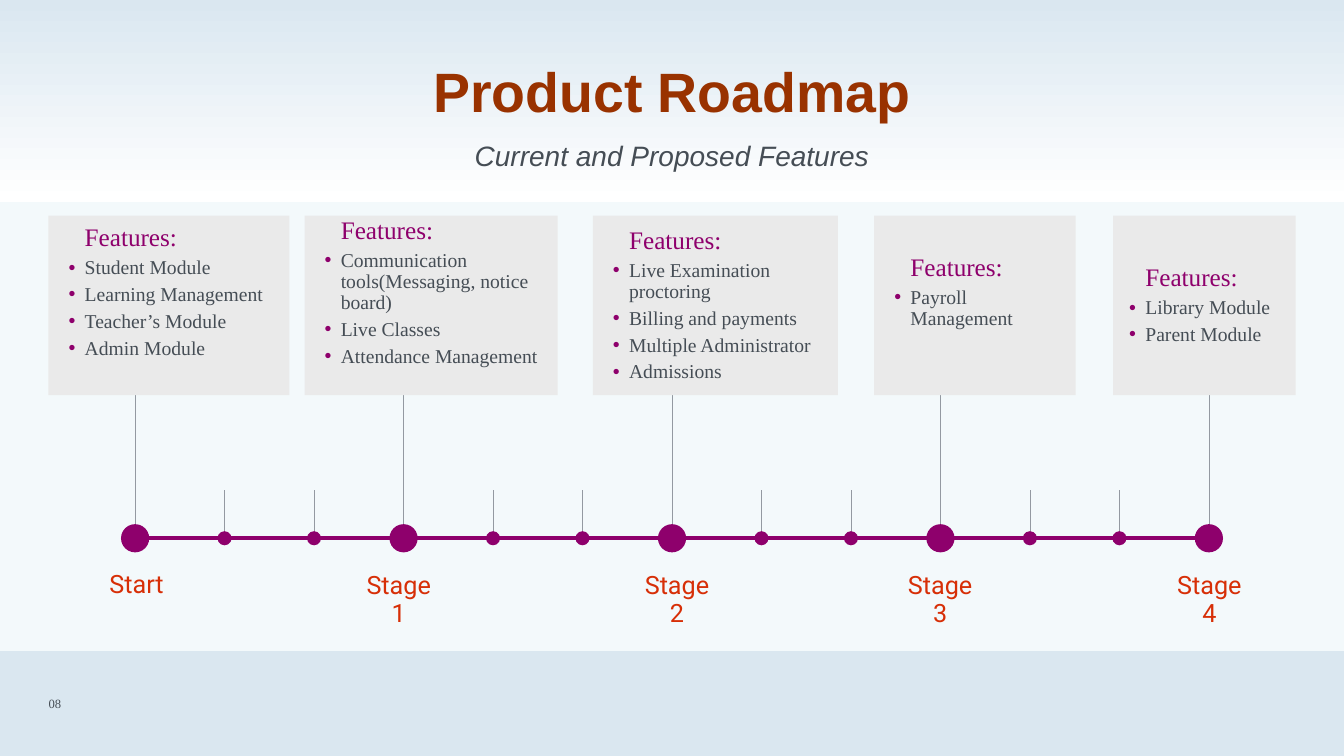
from lxml import etree
from pptx import Presentation
from pptx.dml.color import RGBColor
from pptx.enum.shapes import MSO_CONNECTOR, MSO_SHAPE
from pptx.enum.text import MSO_ANCHOR, PP_ALIGN
from pptx.oxml.ns import qn
from pptx.util import Inches, Pt

RECT, OVAL = MSO_SHAPE.RECTANGLE, MSO_SHAPE.OVAL
LINE = MSO_CONNECTOR.STRAIGHT
TOP, MIDDLE = MSO_ANCHOR.TOP, MSO_ANCHOR.MIDDLE
LEFT, CENTER = PP_ALIGN.LEFT, PP_ALIGN.CENTER
WIDE, HIGH = 13.33, 7.5
HEX = {
    "page": "F3F9FB", "band": "DAE7F0", "white": "FFFFFF", "card": "EAEAEA",
    "plum": "8E006C", "stem": "9399A1", "title": "993200", "text": "454D55",
    "stage": "D72F07",
}
SERIF, SANS, LABEL = "Times New Roman", "Arial", "Roboto"
INDENT = 0.16
BLANK = 0.26
CARDS = [
    (0.48, 2.39, 0.2, BLANK, ["Student Module", "Learning Management",
                              "Teacher’s Module", "Admin Module"]),
    (3.02, 2.51, 0.2, BLANK, ["Communication tools(Messaging, notice board)",
                              "Live Classes", "Attendance Management"]),
    (5.88, 2.43, 0.2, 0, ["Live Examination proctoring", "Billing and payments",
                          "Multiple Administrator", "Admissions"]),
    (8.67, 2, 0.2, BLANK, ["Payroll Management"]),
    (11.04, 1.81, 0.16, 0, ["Library Module", "Parent Module"]),
]
STAGES = [("Start", 0.99, 5.66), ("Stage 1", 3.59, 5.81), ("Stage 2", 6.35, 5.81),
          ("Stage 3", 8.96, 5.81), ("Stage 4", 11.63, 5.81)]


def tint(name):
    """Return the named colour."""
    return RGBColor.from_string(HEX[name])


def add_form(slide, kind, box, color):
    """Add a flat shape without outline."""
    form = slide.shapes.add_shape(kind, *map(Inches, box))
    form.shadow.inherit = False
    form.line.fill.background()
    form.fill.solid()
    form.fill.fore_color.rgb = tint(color)
    return form


def add_line(slide, start, end, color, width):
    """Add a straight line between two points."""
    line = slide.shapes.add_connector(LINE, *map(Inches, start + end))
    line.line.color.rgb = tint(color)
    line.line.width = Pt(width)
    etree.SubElement(line._element.spPr, qn("a:effectLst"))


def set_frame(frame, insets, anchor):
    """Set wrapping, insets and anchor of a text frame."""
    frame.word_wrap = True
    frame.vertical_anchor = anchor
    (frame.margin_left, frame.margin_top,
     frame.margin_right, frame.margin_bottom) = map(Inches, insets)


def add_run(par, text, size, font, color, bold=False, italic=False):
    """Add one styled run to a paragraph."""
    run = par.add_run()
    run.text = text
    run.font.size, run.font.name = Pt(size), font
    run.font.bold, run.font.italic = bold, italic
    run.font.color.rgb = tint(color)


def add_text(slide, box, text, *style, insets=(0.1, 0.05, 0.1, 0.05),
             anchor=MIDDLE, space=0.9, **flags):
    """Add a centred one-paragraph text box."""
    frame = slide.shapes.add_textbox(*map(Inches, box)).text_frame
    set_frame(frame, insets, anchor)
    par = frame.paragraphs[0]
    par.alignment, par.line_spacing = CENTER, space
    add_run(par, text, *style, **flags)


def add_point(par):
    """Give a paragraph a plum bullet."""
    props = par._p.get_or_add_pPr()
    props.set("indent", str(-Inches(INDENT)))
    paint = etree.SubElement(props, qn("a:buClr"))
    etree.SubElement(paint, qn("a:srgbClr"), val=HEX["plum"])
    etree.SubElement(props, qn("a:buFont"), typeface=SANS)
    etree.SubElement(props, qn("a:buChar"), char="•")


def add_card(slide, box, inset, lift, items):
    """Add a card with a heading and a bullet list."""
    frame = add_form(slide, RECT, box, "card").text_frame
    set_frame(frame, (inset, 0.05, 0.1, 0.05 + lift), MIDDLE)
    for row, text in enumerate(["Features:"] + items):
        par = frame.add_paragraph() if row else frame.paragraphs[0]
        par.alignment, par.line_spacing = LEFT, 0.9
        par.space_before = Pt(4 if row else 0)
        par._p.get_or_add_pPr().set("marL", str(Inches(INDENT)))
        if row:
            add_point(par)
            add_run(par, text, 14, SERIF, "text")
        else:
            add_run(par, text, 18, SERIF, "plum")


def add_header(slide, box):
    """Add the shaded band with title and subtitle."""
    left, top, width, height = box
    band = add_form(slide, RECT, box, "band")
    band.fill.gradient()
    band.fill.gradient_angle = 270
    for stop, color, place in zip(band.fill.gradient_stops, ("band", "white"), (0, 1)):
        stop.color.rgb, stop.position = tint(color), place
    inner, pad = width * 0.75, width / 8
    add_text(slide, (left + pad, top + height * 0.28, inner, 0.75),
             "Product Roadmap", 39.6, SANS, "title", bold=True)
    add_text(slide, (left + pad, top + height * 0.68, inner, 0.54),
             "Current and Proposed Features", 20, SANS, "text",
             anchor=TOP, italic=True)


def add_axis(slide, box):
    """Add the time line with large and small dots on stems."""
    left, top, width, height = box
    base = top + height
    count = 3 * (len(STAGES) - 1)
    add_line(slide, (left, base), (left + width, base), "plum", 2.84)
    for tick in range(count + 1):
        x = left + width * tick / count
        size, rise = (0.14, 0.48) if tick % 3 else (0.28, height)
        add_line(slide, (x, base), (x, base - rise), "stem", 0.5)
        add_form(slide, OVAL, (x - size / 2, base - size / 2, size, size), "plum")


def add_footer(slide, box):
    """Add the bottom band with the page number."""
    left, top, width, height = box
    add_form(slide, RECT, box, "band")
    add_text(slide, (left + 0.31, top + 0.32, 0.47, 0.4), "08", 9, SERIF, "text",
             space=1)


def main():
    """Build and save the roadmap slide."""
    deck = Presentation()
    deck.slide_width, deck.slide_height = Inches(WIDE), Inches(HIGH)
    slide = deck.slides.add_slide(deck.slide_layouts[6])
    slide.background.fill.solid()
    slide.background.fill.fore_color.rgb = tint("page")
    add_header(slide, (0, 0, WIDE, 2))
    add_footer(slide, (0, 6.46, WIDE, 1.04))
    add_axis(slide, (1.34, 3.92, 10.65, 1.42))
    for left, width, inset, lift, items in CARDS:
        add_card(slide, (left, 2.14, width, 1.78), inset, lift, items)
    for name, left, top in STAGES:
        add_text(slide, (left, top, 0.73, 0.29), name, 18, LABEL, "stage",
                 insets=(0, 0, 0, 0))
    deck.save("out.pptx")


if __name__ == "__main__":
    main()
